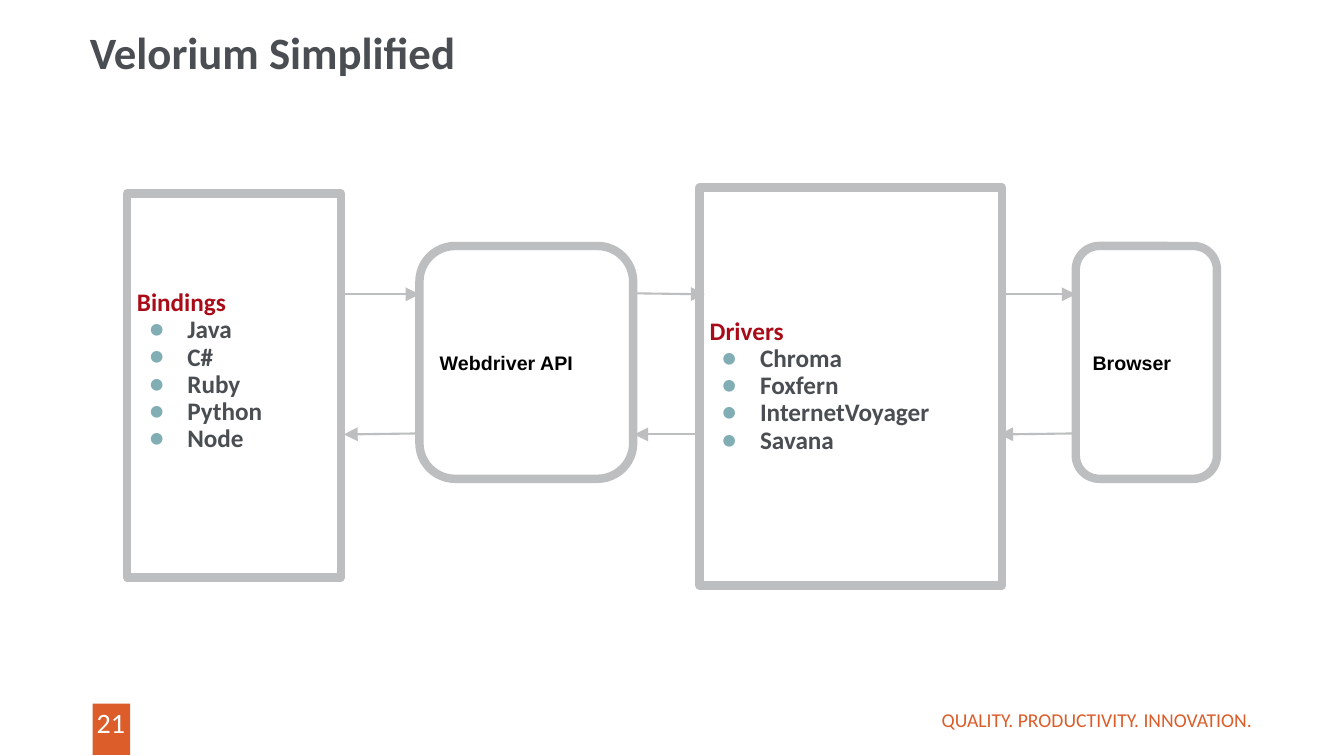
"""Build the browser automation slide: four linked stages with request and reply arrows."""
from dataclasses import dataclass

from lxml import etree
from pptx import Presentation
from pptx import util as u
from pptx.dml.color import RGBColor
from pptx.enum import shapes, text
from pptx.oxml import ns

ORANGE = RGBColor(0xDC, 0x5D, 0x2A)
SLATE = RGBColor(0x4A, 0x4E, 0x52)
SILVER = RGBColor(0xBD, 0xBE, 0xC0)
RED = RGBColor(0xAA, 0x0B, 0x19)
WHITE = RGBColor(0xFF, 0xFF, 0xFF)
BLACK = RGBColor(0x00, 0x00, 0x00)
BULLET = RGBColor(0x81, 0xAD, 0xB5)

PROCESS = shapes.MSO_SHAPE.FLOWCHART_PROCESS
ROUNDED = shapes.MSO_SHAPE.FLOWCHART_ALTERNATE_PROCESS
LEFT, CENTER, RIGHT = text.PP_ALIGN.LEFT, text.PP_ALIGN.CENTER, text.PP_ALIGN.RIGHT
TOP, MIDDLE = text.MSO_ANCHOR.TOP, text.MSO_ANCHOR.MIDDLE


@dataclass(frozen=True)
class Box:
    left: float
    top: float
    width: float
    height: float

    def lengths(self) -> tuple:
        return tuple(u.Inches(n) for n in (self.left, self.top, self.width, self.height))


@dataclass(frozen=True)
class TextStyle:
    size: float
    color: RGBColor
    name: str = "Calibri"
    bold: bool = False


@dataclass(frozen=True)
class Stage:
    heading: str
    box: Box
    kind: shapes.MSO_SHAPE
    style: TextStyle
    items: tuple = ()
    bottom_inset: float = 0.1


@dataclass(frozen=True)
class Arrow:
    start: tuple
    end: tuple


HEADING = TextStyle(18, RED, bold=True)
ITEM = TextStyle(18, SLATE, bold=True)
LABEL = TextStyle(14, BLACK, "Arial", True)

STAGES = (
    Stage("Webdriver API", Box(4.16, 2.44, 2.12, 2.31), ROUNDED, LABEL),
    Stage("Bindings", Box(1.26, 1.92, 2.12, 3.81), PROCESS, HEADING,
          ("Java", "C#", "Ruby", "Python", "Node"), 0.38),
    Stage("Drivers", Box(6.94, 1.86, 3, 3.95), PROCESS, HEADING,
          ("Chroma", "Foxfern", "InternetVoyager", "Savana")),
    Stage("Browser", Box(10.67, 2.44, 1.4, 2.31), ROUNDED, LABEL),
)

ARROWS = (
    Arrow((3.39, 2.92), (4.16, 2.92)),
    Arrow((6.29, 2.91), (6.99, 2.92)),
    Arrow((9.9, 2.92), (10.67, 2.92)),
    Arrow((4.15, 4.3), (3.41, 4.31)),
    Arrow((6.94, 4.31), (6.29, 4.31)),
    Arrow((10.65, 4.3), (9.91, 4.31)),
)


def apply(target, values: dict) -> None:
    for name, value in values.items():
        setattr(target, name, value)


def add_child(parent, tag: str, **attributes: str):
    return etree.SubElement(parent, ns.qn(tag), attributes)


def set_frame(frame, insets: tuple, anchor) -> None:
    left, top, right, bottom = (u.Inches(inset) for inset in insets)
    apply(frame, {"margin_left": left, "margin_top": top, "margin_right": right,
                  "margin_bottom": bottom, "word_wrap": True, "vertical_anchor": anchor,
                  "auto_size": text.MSO_AUTO_SIZE.NONE})


def write(paragraph, words: str, style: TextStyle, **layout) -> None:
    apply(paragraph, layout)
    run = paragraph.add_run()
    run.text = words
    apply(run.font, {"size": u.Pt(style.size), "name": style.name, "bold": style.bold})
    run.font.color.rgb = style.color


def add_bullet(paragraph) -> None:
    properties = paragraph._p.get_or_add_pPr()
    for name, value in {"marL": 0.5, "indent": -0.38}.items():
        properties.set(name, str(u.Inches(value)))
    add_child(add_child(properties, "a:buClr"), "a:srgbClr", val=str(BULLET))
    add_child(properties, "a:buFont", typeface="Calibri")
    add_child(properties, "a:buChar", char="●")


def add_label(slide, box: Box, words: str, style: TextStyle, alignment, anchor) -> None:
    frame = slide.shapes.add_textbox(*box.lengths()).text_frame
    set_frame(frame, (0, 0, 0, 0), anchor)
    write(frame.paragraphs[0], words, style, alignment=alignment)


def add_filled_shape(slide, kind, box: Box, color: RGBColor):
    shape = slide.shapes.add_shape(kind, *box.lengths())
    shape.shadow.inherit = False
    shape.fill.solid()
    shape.fill.fore_color.rgb = color
    return shape


def add_stage(slide, stage: Stage) -> None:
    shape = add_filled_shape(slide, stage.kind, stage.box, WHITE)
    shape.line.color.rgb = SILVER
    shape.line.width = u.Pt(6)
    add_child(shape.line._get_or_add_ln(), "a:round")
    frame = shape.text_frame
    set_frame(frame, (0.1, 0.1, 0.1, stage.bottom_inset), MIDDLE)
    layout = {"alignment": LEFT}
    if stage.items:
        layout["line_spacing"] = 0.9
        frame.paragraphs[0].space_before = u.Pt(7.5)
    write(frame.paragraphs[0], stage.heading, stage.style, **layout)
    for item in stage.items:
        paragraph = frame.add_paragraph()
        write(paragraph, item, ITEM, **layout)
        add_bullet(paragraph)


def add_arrow(slide, arrow: Arrow) -> None:
    points = (u.Inches(n) for n in arrow.start + arrow.end)
    connector = slide.shapes.add_connector(shapes.MSO_CONNECTOR.STRAIGHT, *points)
    connector.line.color.rgb = SILVER
    connector.line.width = u.Pt(1.5)
    add_child(connector.line._get_or_add_ln(), "a:tailEnd",
              type="triangle", w="lg", len="lg")
    add_child(connector._element.spPr, "a:effectLst")


def add_title(slide, words: str) -> None:
    title = slide.shapes.title
    left, top, width, height = Box(0.89, 0.26, 9.31, 1.19).lengths()
    apply(title, {"left": left, "top": top, "width": width, "height": height})
    set_frame(title.text_frame, (0, 0.05, 0.1, 0.05), TOP)
    write(title.text_frame.paragraphs[0], words, TextStyle(32, SLATE, bold=True),
          alignment=LEFT, line_spacing=0.9)


def add_page_marker(slide) -> None:
    marker = add_filled_shape(slide, shapes.MSO_SHAPE.RECTANGLE,
                              Box(0.92, 6.98, 0.37, 0.51), ORANGE)
    marker.line.fill.background()
    add_label(slide, Box(0.86, 7, 0.48, 0.34), "21", TextStyle(20, WHITE), CENTER, TOP)


def main() -> None:
    presentation = Presentation()
    apply(presentation, {"slide_width": u.Inches(13.33), "slide_height": u.Inches(7.5)})
    slide = presentation.slides.add_slide(presentation.slide_layouts[5])
    add_page_marker(slide)
    add_title(slide, "Velorium Simplified")
    add_label(slide, Box(8.35, 6.94, 4.07, 0.4), "QUALITY. PRODUCTIVITY. INNOVATION.",
              TextStyle(14, ORANGE), RIGHT, MIDDLE)
    for stage in STAGES:
        add_stage(slide, stage)
    for arrow in ARROWS:
        add_arrow(slide, arrow)
    presentation.save("out.pptx")


if __name__ == "__main__":
    main()
